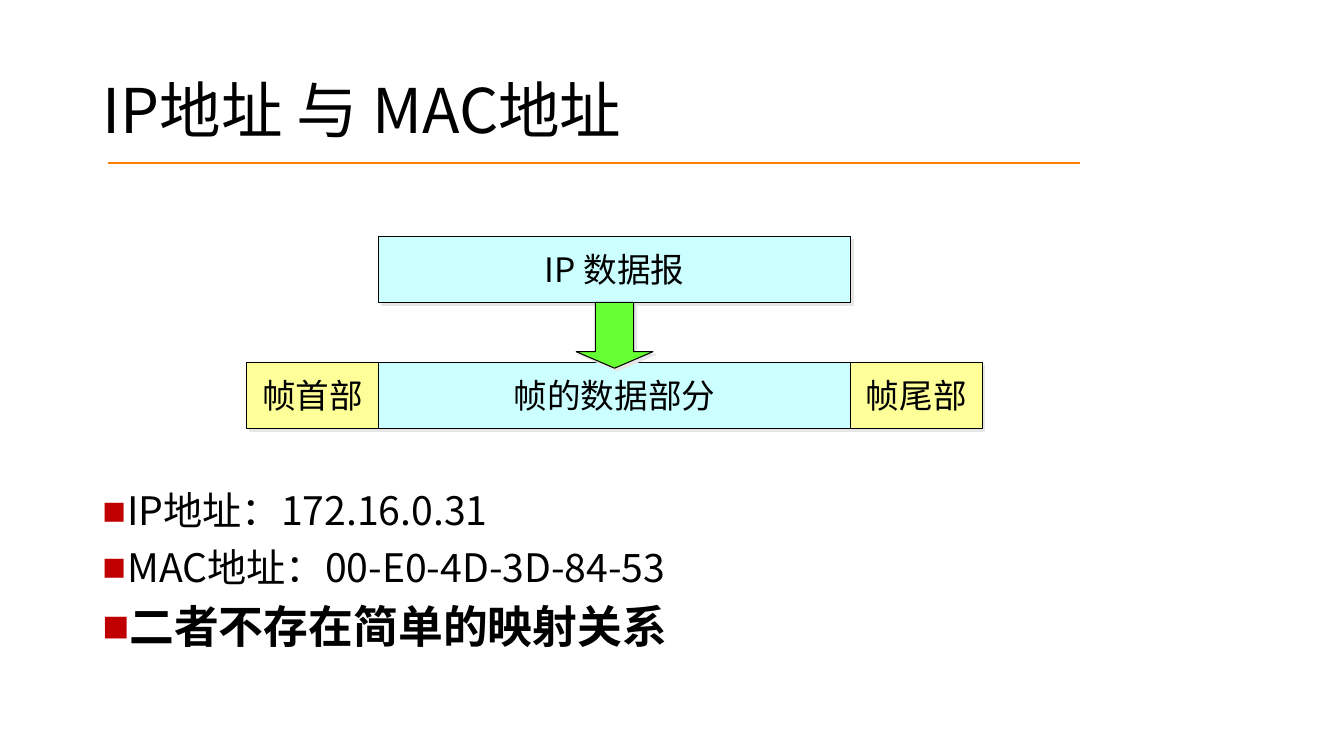
from lxml.etree import SubElement
from pptx import Presentation
from pptx.dml.color import RGBColor
from pptx.enum.shapes import MSO_CONNECTOR as Connector, MSO_SHAPE as Shape
from pptx.enum.text import MSO_ANCHOR as Anchor, MSO_AUTO_SIZE as AutoSize, PP_ALIGN as Align
from pptx.oxml import parse_xml
from pptx.oxml.ns import nsdecls, qn
from pptx.util import Pt

FONT = "Noto Sans CJK SC"
BULLET_FONT = "Arial"
COLORS = {
    "text": "000000",
    "rule": "FF8000",
    "bullet": "C00000",
    "data": "CCFFFF",
    "frame": "FFFF99",
    "arrow": "66FF33",
    "shadow": "E7E6E6",
}


def color(name):
    return RGBColor.from_string(COLORS[name])


def write(paragraph, text, size=24, bold=False, align=Align.LEFT, line_spacing=1.0, space_before=0):
    paragraph.alignment = align
    paragraph.line_spacing = line_spacing
    paragraph.space_before = Pt(space_before)
    run = paragraph.add_run()
    run.text = text
    run.font.size = Pt(size)
    run.font.bold = bold
    run.font.name = FONT
    run.font.color.rgb = color("text")
    SubElement(run.font._element, qn("a:ea"), typeface=FONT)


class SlideBuilder:
    def __init__(self, presentation):
        self.slide = presentation.slides.add_slide(presentation.slide_layouts[5])
        self.shapes = self.slide.shapes

    def title(self, text, left, top, width, height):
        title = self.shapes.title
        title.left, title.top, title.width, title.height = map(Pt, (left, top, width, height))
        frame = title.text_frame
        frame.auto_size = AutoSize.NONE
        frame.word_wrap = True
        frame.vertical_anchor = Anchor.MIDDLE
        write(frame.paragraphs[0], text, size=44, line_spacing=0.9)

    def rule(self, left, right, y):
        line = self.shapes.add_connector(Connector.STRAIGHT, Pt(left), Pt(y), Pt(right), Pt(y))
        line.line.color.rgb = color("rule")
        line.line.width = Pt(1.5)
        SubElement(line._element.spPr, qn("a:effectLst"))

    def block(self, kind, fill, left, top, width, height, text=None):
        shape = self.shapes.add_shape(kind, Pt(left), Pt(top), Pt(width), Pt(height))
        shape.fill.solid()
        shape.fill.fore_color.rgb = color(fill)
        shape.line.color.rgb = color("text")
        shape.line.width = Pt(0.75)
        shape._element.spPr.append(parse_xml(
            f'<a:effectLst {nsdecls("a")}><a:outerShdw dist="{Pt(2.8)}" dir="2700000" algn="ctr" '
            f'rotWithShape="0"><a:srgbClr val="{COLORS["shadow"]}"/></a:outerShdw></a:effectLst>'))
        if text:
            frame = shape.text_frame
            frame.word_wrap = False
            frame.vertical_anchor = Anchor.MIDDLE
            write(frame.paragraphs[0], text, align=Align.CENTER)
        return shape

    def bullets(self, items, left, top, width, height):
        frame = self.shapes.add_textbox(Pt(left), Pt(top), Pt(width), Pt(height)).text_frame
        frame.word_wrap = True
        for index, (text, size, bold) in enumerate(items):
            paragraph = frame.paragraphs[0] if index == 0 else frame.add_paragraph()
            properties = paragraph._element.get_or_add_pPr()
            properties.set("marL", str(Pt(18)))
            properties.set("indent", str(Pt(-18)))
            bullet_color = SubElement(properties, qn("a:buClr"))
            SubElement(bullet_color, qn("a:srgbClr"), val=COLORS["bullet"])
            SubElement(properties, qn("a:buFont"), typeface=BULLET_FONT)
            SubElement(properties, qn("a:buChar"), char="■")
            write(paragraph, text, size=size, bold=bold, line_spacing=0.9,
                  space_before=10 if index else 0)


def main():
    presentation = Presentation()
    presentation.slide_width, presentation.slide_height = Pt(960), Pt(540)
    builder = SlideBuilder(presentation)

    builder.title("IP地址 与 MAC地址", 66, 28.8, 828, 104.4)
    builder.bullets([
        ("IP地址：172.16.0.31", 28, False),
        ("MAC地址：00-E0-4D-3D-84-53", 28, False),
        ("二者不存在简单的映射关系", 32, True),
    ], 66, 347.8, 828, 139)

    edge_width, data_width, row_height = 94, 337.2, 47
    frame_left, packet_top, frame_top = 176.4, 169, 259
    data_left = frame_left + edge_width
    tail_left = data_left + data_width
    builder.block(Shape.RECTANGLE, "data", data_left, packet_top, data_width, row_height, "IP 数据报")
    for text, fill, left, width in (
        ("帧首部", "frame", frame_left, edge_width),
        ("帧的数据部分", "data", data_left, data_width),
        ("帧尾部", "frame", tail_left, edge_width),
    ):
        builder.block(Shape.RECTANGLE, fill, left, frame_top, width, row_height, text)

    arrow_width = 54.8
    arrow_left = data_left + (data_width - arrow_width) / 2
    arrow = builder.block(Shape.DOWN_ARROW, "arrow", arrow_left, packet_top + row_height, arrow_width, row_height)
    arrow.adjustments[0], arrow.adjustments[1] = 0.5, 0.25

    builder.rule(77, 771.5, 116.5)
    presentation.save("out.pptx")


if __name__ == "__main__":
    main()
